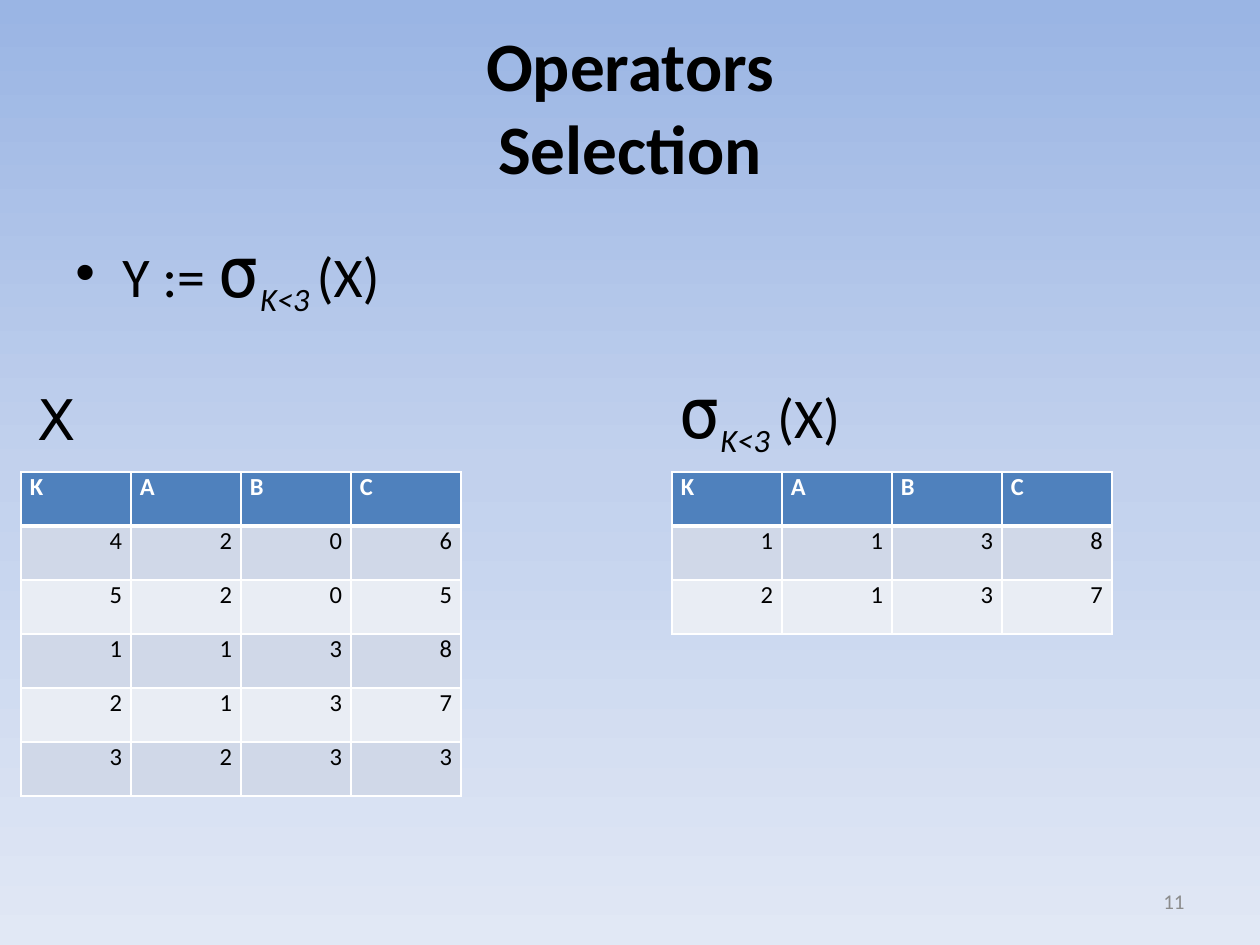
from lxml import etree
from pptx import Presentation, oxml, util as u
from pptx.dml.color import RGBColor
from pptx.enum import text
from pptx.oxml.ns import nsdecls, qn

PX = 914400 // 126
ALIGN, ANCHOR = text.PP_ALIGN, text.MSO_ANCHOR
BLACK, WHITE, GREY, BLUE = "000000", "FFFFFF", "8C8C8C", "4F81BD"
BANDS = ["D0D8E8", "E9EDF4"]
BACKGROUND = [(0, "9AB5E4"), (50, "C2D1ED"), (100, "E1E8F5")]

# Runs: text, size, font, italic, baseline percent
SELECTION = [("σ", 40, "DejaVu Sans Mono", False, 0),
             ("K<3 ", 32, "Calibri", True, -25),
             ("(X)", 32, "Calibri", False, 0)]
FORMULA = [("Y := ", 32, "Calibri", False, 0)] + SELECTION

HEADER = ["K", "A", "B", "C"]
RELATION_X = [(4, 2, 0, 6), (5, 2, 0, 5), (1, 1, 3, 8), (2, 1, 3, 7), (3, 2, 3, 3)]
SELECTED = [row for row in RELATION_X if row[0] < 3]
TABLES = [(21, RELATION_X), (672, SELECTED)]
TABLE_TOP, COL_W, ROW_H = 472, 110, 54


def rgb(value):
    """Turn a hex string into a colour."""
    return RGBColor.from_string(value)


def set_font(font, size, name="Calibri", color=BLACK, bold=False):
    """Set the common font properties."""
    font.size, font.name, font.bold = u.Pt(size), name, bold
    font.color.rgb = rgb(color)


def paint_background(slide, stops):
    """Fill the slide from top to bottom with a gradient."""
    fill = slide.background.fill
    fill.gradient()
    grad = slide.background._cSld.find(".//" + qn("a:gradFill"))
    stop_list = grad.find(qn("a:gsLst"))
    for stop in list(stop_list):
        stop_list.remove(stop)
    for percent, color in stops:
        stop = etree.SubElement(stop_list, qn("a:gs"), pos=str(percent * 1000))
        etree.SubElement(stop, qn("a:srgbClr"), val=color)
    grad.find(qn("a:lin")).set("ang", "5400000")


def add_text(slide, box, anchor=ANCHOR.TOP, align=ALIGN.LEFT):
    """Add a wrapping text box and return its paragraph."""
    frame = slide.shapes.add_textbox(*(v * PX for v in box)).text_frame
    frame.word_wrap, frame.vertical_anchor = True, anchor
    paragraph = frame.paragraphs[0]
    paragraph.alignment = align
    return paragraph


def add_plain(slide, box, words, size, name="Calibri", color=BLACK, bold=False, **place):
    """Add a text box in a single style."""
    paragraph = add_text(slide, box, **place)
    paragraph.text = words
    set_font(paragraph.font, size, name, color, bold)


def add_formula(slide, box, parts):
    """Add a formula with a subscript and return its paragraph."""
    paragraph = add_text(slide, box)
    for words, size, name, italic, baseline in parts:
        run = paragraph.add_run()
        run.text = words
        set_font(run.font, size, name)
        run.font.italic = italic
        if baseline:
            run.font._element.set("baseline", str(baseline * 1000))
    return paragraph


def add_bullet(paragraph, indent):
    """Give the paragraph a round bullet and a hanging indent."""
    props = paragraph._p.get_or_add_pPr()
    props.set("marL", str(indent * PX))
    props.set("indent", str(-indent * PX))
    spacing = etree.SubElement(props, qn("a:spcBef"))
    etree.SubElement(spacing, qn("a:spcPct"), val="20000")
    etree.SubElement(props, qn("a:buFont"), typeface="Arial")
    etree.SubElement(props, qn("a:buChar"), char="•")


def set_borders(cell, top, bottom):
    """Draw white borders, with the given top and bottom widths in points."""
    props = cell._tc.get_or_add_tcPr()
    for index, (side, width) in enumerate(zip("LRTB", (1, 1, top, bottom))):
        props.insert(index, oxml.parse_xml(
            f'<a:ln{side} {nsdecls("a")} w="{u.Pt(width)}"><a:solidFill>'
            f'<a:srgbClr val="{WHITE}"/></a:solidFill></a:ln{side}>'))


def add_relation(slide, left, rows):
    """Add a relation as a table with a header and banded rows."""
    lines = [HEADER] + rows
    size = COL_W * len(HEADER) * PX, ROW_H * len(lines) * PX
    table = slide.shapes.add_table(len(lines), len(HEADER), left * PX, TABLE_TOP * PX, *size).table
    for r, line in enumerate(lines):
        head = r == 0
        for c, value in enumerate(line):
            cell = table.cell(r, c)
            cell.margin_left = cell.margin_right = 9 * PX
            cell.margin_top = cell.margin_bottom = 0
            cell.fill.solid()
            cell.fill.fore_color.rgb = rgb(BLUE if head else BANDS[(r - 1) % 2])
            set_borders(cell, 3 if r == 1 else 1, 3 if head else 1)
            paragraph = cell.text_frame.paragraphs[0]
            paragraph.text = str(value)
            paragraph.alignment = ALIGN.LEFT if head else ALIGN.RIGHT
            set_font(paragraph.font, 14, color=WHITE if head else BLACK, bold=head)


def main():
    """Build the slide and save it."""
    deck = Presentation()
    deck.slide_width, deck.slide_height = 1260 * PX, 945 * PX
    slide = deck.slides.add_slide(deck.slide_layouts[6])
    paint_background(slide, BACKGROUND)
    add_plain(slide, (63, 21, 1134, 168), "Operators\vSelection", 39.6, bold=True,
              anchor=ANCHOR.MIDDLE, align=ALIGN.CENTER)
    add_plain(slide, (903, 876, 294, 50), "11", 12, color=GREY,
              anchor=ANCHOR.MIDDLE, align=ALIGN.RIGHT)
    add_bullet(add_formula(slide, (63, 221, 1134, 116), FORMULA), 47)
    add_plain(slide, (25, 378, 168, 81), "X", 32, "DejaVu Sans")
    add_formula(slide, (666, 362, 420, 97), SELECTION)
    for left, rows in TABLES:
        add_relation(slide, left, rows)
    deck.save("out.pptx")


main()
